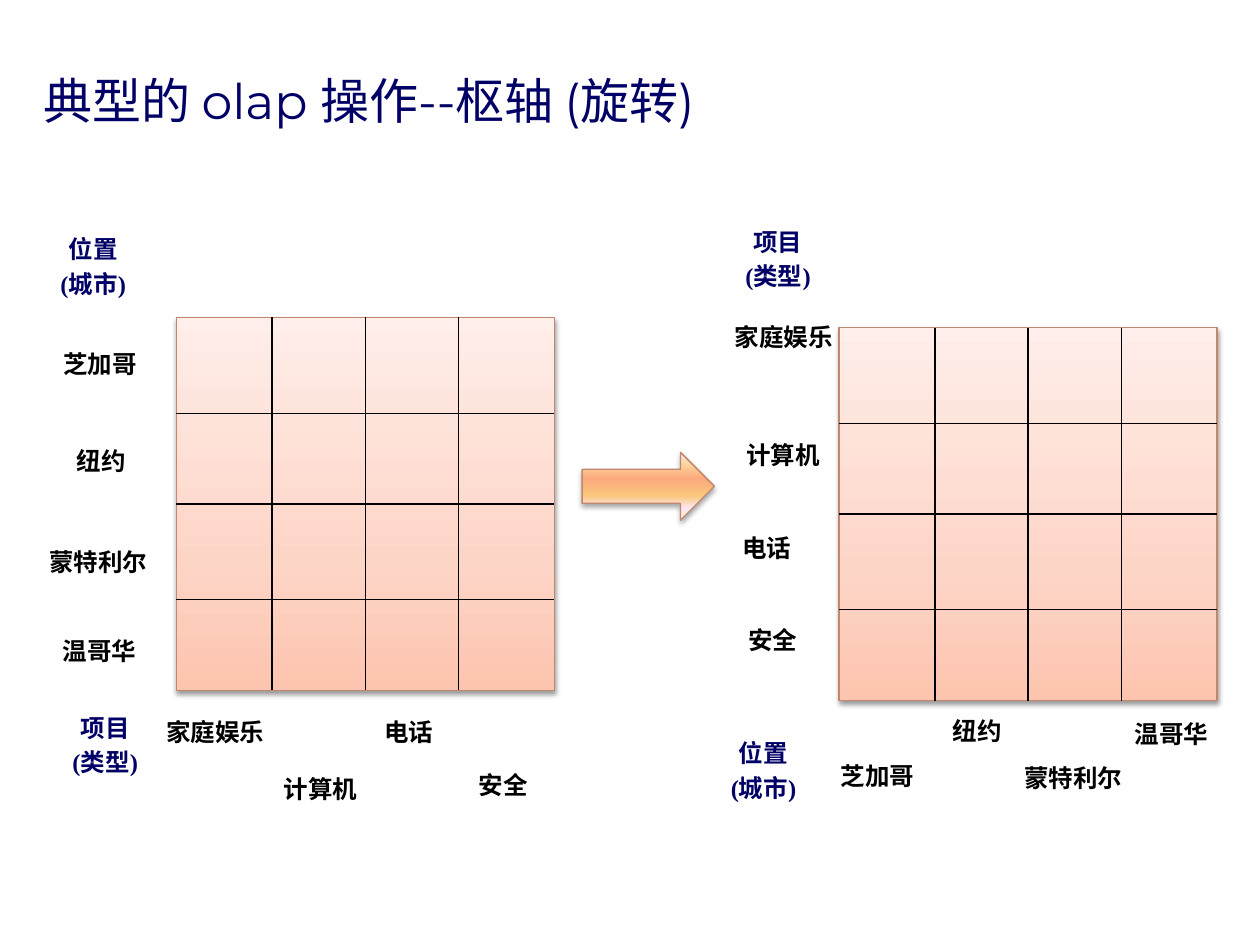
from lxml.etree import SubElement as Sub
from pptx import Presentation as Deck
from pptx.dml.color import RGBColor as Rgb
from pptx.enum.shapes import MSO_CONNECTOR as Link, MSO_SHAPE as Kind
from pptx.enum.text import MSO_ANCHOR as Anchor, MSO_AUTO_SIZE as Fit, PP_ALIGN as Align
from pptx.oxml.ns import qn
from pptx.util import Emu, Inches, Pt

COLS, ROWS = 1000, 750
WIDE, HIGH = Inches(10), Inches(7.5)
SIDE, TALL, FIRST, STEP = 300, 296, 76, 74
NAVY, BLACK, RUST = "000066", "000000", "C0886F"
PEACH = [(0, "FDC4AF"), (35, "FDD5C7"), (100, "FFEEE9")]
AMBER = [(0, "FBEAC7"), (18, "FEE7F2"), (36, "FAC77D"),
         (61, "FBA97D"), (82, "FBD49C"), (100, "FEE7F2")]
SPANS = {"位置\n(城市)": (94, 62), "项目\n(类型)": (77, 62),
         "芝加哥": (89, 34), "纽约": (103, 34), "蒙特利尔": (98, 34), "温哥华": (110, 34),
         "家庭娱乐": (100, 81), "计算机": (101, 34), "电话": (71, 34), "安全": (87, 34)}
CITY, TYPE = list(SPANS)[:2]
TOWNS, GOODS = list(SPANS)[2:6], list(SPANS)[6:]


def hue(code):
    return Rgb.from_string(code)


def grid(x, y):
    return Emu(WIDE * x // COLS), Emu(HIGH * y // ROWS)


def style(part, size, face, code, bold):
    for run in part.runs:
        font = run.font
        font.size, font.name, font.bold = Pt(size), face, bold
        font.color.rgb = hue(code)


def title(slide, text):
    frame = slide.shapes.add_textbox(*grid(25, 41), *grid(945, 67)).text_frame
    frame.word_wrap = True
    frame.vertical_anchor = Anchor.BOTTOM
    frame.text = text
    style(frame.paragraphs[0], 28, "Montserrat", NAVY, False)


def label(slide, text, spot):
    frame = slide.shapes.add_textbox(*grid(*spot), *grid(*SPANS[text])).text_frame
    frame.word_wrap = text == GOODS[0]
    frame.auto_size = Fit.SHAPE_TO_FIT_TEXT
    frame.text = text
    for i, part in enumerate(frame.paragraphs):
        part.alignment = Align.CENTER
        if i:
            part.space_before = Pt(2.8)
        style(part, 14, "Times New Roman", NAVY if text in (CITY, TYPE) else BLACK, True)


def tint(node, code):
    return Sub(node, qn("a:srgbClr"), val=code)


def block(slide, kind, spot, span, stops, dim, drop):
    shape = slide.shapes.add_shape(kind, *grid(*spot), *grid(*span))
    shape.fill.gradient()
    shape.fill.gradient_angle = 90
    shape.line.color.rgb = hue(RUST)
    shape.line.width = Pt(0.75)
    shape.shadow.inherit = False
    props = shape.element.spPr
    ramp = props.find(".//" + qn("a:gsLst"))
    for old in list(ramp):
        ramp.remove(old)
    for pos, code in stops:
        tint(Sub(ramp, qn("a:gs"), pos=str(pos * 1000)), code)
    glow = Sub(props.find(qn("a:effectLst")), qn("a:outerShdw"),
               blurRad=str(Pt(3.1)), dist=str(Pt(drop)), dir="5400000", rotWithShape="0")
    Sub(tint(glow, BLACK), qn("a:alpha"), val=str(dim * 1000))
    return shape


def rule(slide, start, end):
    line = slide.shapes.add_connector(Link.STRAIGHT, *grid(*start), *grid(*end))
    line.line.color.rgb = hue(BLACK)
    line.line.width = Pt(0.75)
    Sub(line.element.spPr, qn("a:effectLst"))
    return line


def board(slide, x, y):
    rect = block(slide, Kind.RECTANGLE, (x, y), (SIDE, TALL), PEACH, 38, 1.6)
    for i in range(3):
        gap = FIRST + i * STEP
        row = rule(slide, (x, y + gap), (x + SIDE, y + gap))
        col = rule(slide, (x + gap, y), (x + gap, y + TALL))
        if i == 1:
            for line, a, b in ((row, 1, 3), (col, 0, 2)):
                line.begin_connect(rect, a)
                line.end_connect(rect, b)


def axis(slide, head, names, spots):
    for text, spot in zip([head] + names, spots):
        label(slide, text, spot)


def main():
    deck = Deck()
    deck.slide_width, deck.slide_height = WIDE, HIGH
    slide = deck.slides.add_slide(deck.slide_layouts[6])
    title(slide, "典型的 olap 操作--枢轴 (旋转)")
    block(slide, Kind.RIGHT_ARROW, (462, 359), (105, 54), AMBER, 35, 1.8)
    board(slide, 666, 260)
    axis(slide, CITY, TOWNS, [(559, 581), (652, 599), (724, 563), (803, 601), (875, 566)])
    axis(slide, TYPE, GOODS, [(579, 175), (572, 251), (571, 344), (573, 418), (570, 491)])
    board(slide, 140, 252)
    axis(slide, CITY, TOWNS, [(27, 181), (35, 272), (29, 349), (29, 429), (24, 500)])
    axis(slide, TYPE, GOODS, [(45, 561), (121, 564), (204, 609), (289, 564), (356, 606)])
    deck.save("out.pptx")


if __name__ == "__main__":
    main()
